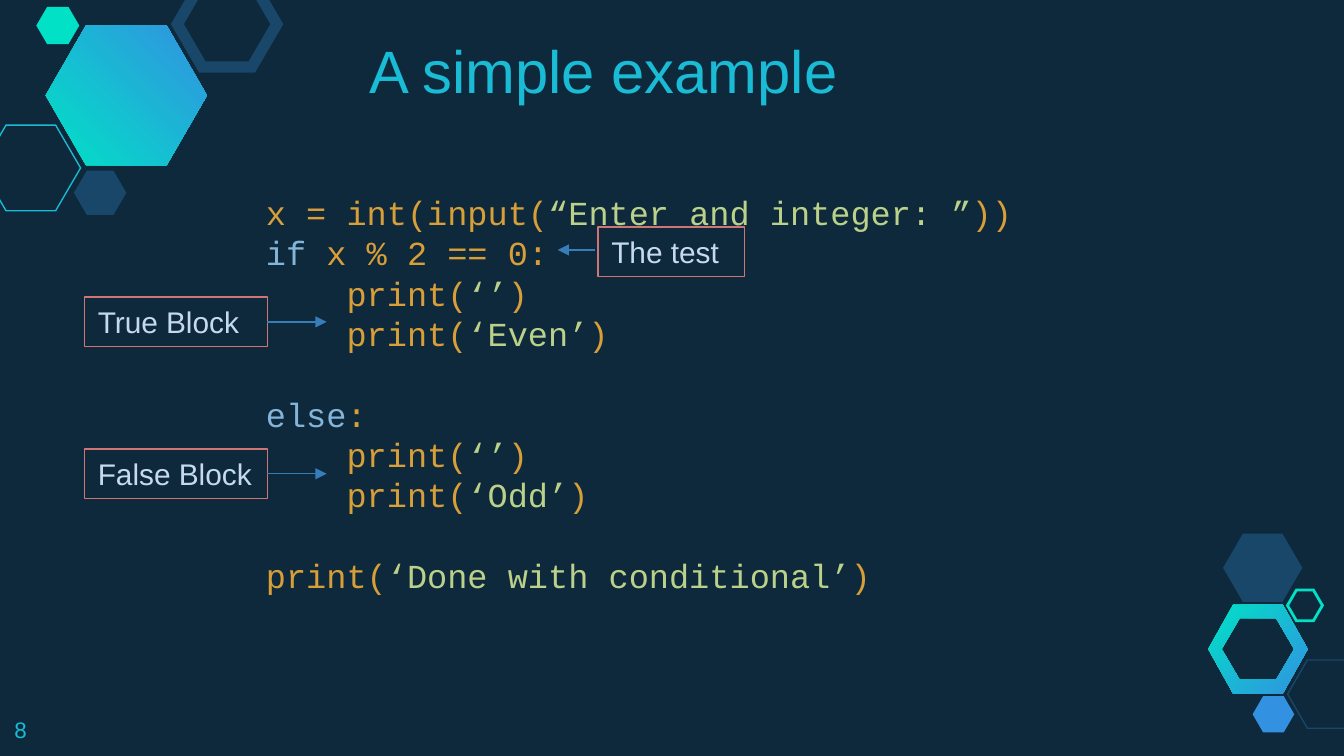
import lxml.etree
import pptx
import pptx.dml.color
import pptx.enum.shapes
import pptx.enum.text
import pptx.oxml.ns
import pptx.util

Inches = pptx.util.Inches
Pt = pptx.util.Pt
qn = pptx.oxml.ns.qn

TEAL, BLUE, NAVY, CYAN = "00E1C6", "3292E1", "184769", "19BBD5"
CODE, STRING, KEYWORD = "D89F39", "BBD189", "85B4D9"


def color(hex_code):
    return pptx.dml.color.RGBColor.from_string(hex_code)


def add_text(paragraph, text, size=18, font="Arial", fill=CYAN):
    run = paragraph.add_run()
    run.text = text
    run.font.size = Pt(size)
    run.font.name = font
    run.font.color.rgb = color(fill)


# Widescreen slide, 16:9
prs = pptx.Presentation()
prs.slide_width = Inches(10)
prs.slide_height = Inches(10) * 9 // 16
slide = prs.slides.add_slide(prs.slide_layouts[6])
slide.background.fill.solid()
slide.background.fill.fore_color.rgb = color("0E293C")
shapes = slide.shapes

# Gradient hexagons: centre, (half width, half height) per outline, angle
corners = [(-1, 0), (-0.5, -1), (0.5, -1), (1, 0), (0.5, 1), (-0.5, 1)]
gradient_hexagons = [
    (9.36, 4.83, [(0.37, 0.33), (0.27, 0.23)], 315),
    (0.94, 0.71, [(0.6, 0.52)], 45),
]
for center_x, center_y, outlines, angle in gradient_hexagons:
    builder = None
    for ring, (half_w, half_h) in enumerate(outlines):
        # The inner outline runs the other way round, which cuts a hole
        order = corners[::-1] if ring else corners
        points = [(Inches(center_x + x * half_w), Inches(center_y + y * half_h))
                  for x, y in order]
        if builder is None:
            builder = shapes.build_freeform(*points[0])
        else:
            builder.move_to(*points[0])
        builder.add_line_segments(points[1:], close=True)
    hexagon = builder.convert_to_shape()
    hexagon.shadow.inherit = False
    hexagon.line.fill.background()
    hexagon.fill.gradient()
    hexagon.fill.gradient_angle = angle
    for stop, shade in zip(hexagon.fill.gradient_stops, (TEAL, BLUE)):
        stop.color.rgb = color(shade)

# Plain hexagons: left, top, width, height, colour, outline width (0 = filled)
plain_hexagons = [
    (-0.14, 0.93, 0.74, 0.64, CYAN, 0.75),
    (0.55, 1.27, 0.39, 0.33, NAVY, 0),
    (1.32, -0.14, 0.74, 0.64, NAVY, 6),
    (0.27, 0.05, 0.32, 0.28, TEAL, 0),
    (9.58, 4.91, 0.59, 0.51, NAVY, 0.75),
    (9.32, 5.18, 0.31, 0.27, BLUE, 0),
    (9.1, 3.97, 0.59, 0.51, NAVY, 0),
    (9.58, 4.39, 0.26, 0.23, TEAL, 1.5),
]
for *box, shade, outline in plain_hexagons:
    hexagon = shapes.add_shape(
        pptx.enum.shapes.MSO_SHAPE.HEXAGON, *[Inches(v) for v in box])
    hexagon.shadow.inherit = False
    hexagon.adjustments[0] = 0.29
    hexagon.adjustments[1] = 1.15
    if outline:
        hexagon.fill.background()
        hexagon.line.color.rgb = color(shade)
        hexagon.line.width = Pt(outline)
        lxml.etree.SubElement(
            hexagon.line._get_or_add_ln(), qn("a:miter"), lim="800000")
    else:
        hexagon.fill.solid()
        hexagon.fill.fore_color.rgb = color(shade)
        hexagon.line.fill.background()

# Code listing: indent level, blank lines before, coloured pieces
code_lines = [
    (0, 0, [("x = int(input(", CODE), ("“Enter and integer: ”", STRING), ("))", CODE)]),
    (0, 0, [("if", KEYWORD), (" x % 2 == 0:", CODE)]),
    (1, 0, [("print(", CODE), ("‘’", STRING), (")", CODE)]),
    (1, 0, [("print(", CODE), ("‘Even’", STRING), (")", CODE)]),
    (0, 1, [("else", KEYWORD), (":", CODE)]),
    (1, 0, [("print(", CODE), ("‘’", STRING), (")", CODE)]),
    (1, 0, [("print(", CODE), ("‘Odd’", STRING), (")", CODE)]),
    (0, 1, [("print(", CODE), ("‘Done with conditional’", STRING), (")", CODE)]),
]
line_height = 21.6
listing = shapes.add_textbox(
    Inches(1.88), Inches(1.38), Inches(7.48), Inches(3.13)).text_frame
listing.word_wrap = True
for number, (level, blank_lines, pieces) in enumerate(code_lines):
    code_line = listing.add_paragraph() if number else listing.paragraphs[0]
    code_line.line_spacing = Pt(line_height)
    code_line.space_before = Pt(line_height * blank_lines)
    properties = code_line._p.get_or_add_pPr()
    properties.set("marL", str(Inches(0.6 * level)))
    properties.set("indent", "0")
    for piece, shade in pieces:
        add_text(code_line, piece, font="Courier New", fill=shade)

# Slide number
page = shapes.add_textbox(
    Inches(0.01), Inches(5.23), Inches(0.6), Inches(0.39)).text_frame
page.word_wrap = True
page.margin_top = page.margin_bottom = Inches(0.1)
add_text(page.paragraphs[0], "8", size=12)

# Title
title = shapes.add_textbox(
    Inches(2.65), Inches(0.2), Inches(4.1), Inches(0.64)).text_frame
title.word_wrap = False
add_text(title.paragraphs[0], "A simple example", size=32)

# Labels with arrows: text, left, top, width, arrow start, end, height, joined side
labels = [
    ("The test", 4.45, 1.69, 1.09, 4.43, 4.15, 1.86, None),
    ("True Block", 0.63, 2.21, 1.36, 1.99, 2.43, 2.39, 3),
    ("False Block", 0.63, 3.34, 1.36, 1.99, 2.43, 3.52, 3),
]
for text, left, top, width, start, end, arrow_y, side in labels:
    label = shapes.add_shape(
        pptx.enum.shapes.MSO_SHAPE.RECTANGLE,
        Inches(left), Inches(top), Inches(width), Inches(0.37))
    label.shadow.inherit = False
    label.fill.background()
    label.line.color.rgb = color("D07576")
    label.line.width = Pt(0.75)
    label.text_frame.word_wrap = True
    label.text_frame.vertical_anchor = pptx.enum.text.MSO_ANCHOR.TOP
    caption = label.text_frame.paragraphs[0]
    caption.alignment = pptx.enum.text.PP_ALIGN.LEFT
    add_text(caption, text, size=16, fill="C6DAEC")

    arrow = shapes.add_connector(
        pptx.enum.shapes.MSO_CONNECTOR.STRAIGHT,
        Inches(start), Inches(arrow_y), Inches(end), Inches(arrow_y))
    if side is not None:
        arrow.begin_connect(label, side)
        arrow.end_y = arrow.begin_y
    arrow.line.color.rgb = color("367EB9")
    arrow.line.width = Pt(0.75)
    lxml.etree.SubElement(arrow.line._get_or_add_ln(), qn("a:tailEnd"), type="triangle")
    lxml.etree.SubElement(arrow._element.spPr, qn("a:effectLst"))

prs.save("out.pptx")
